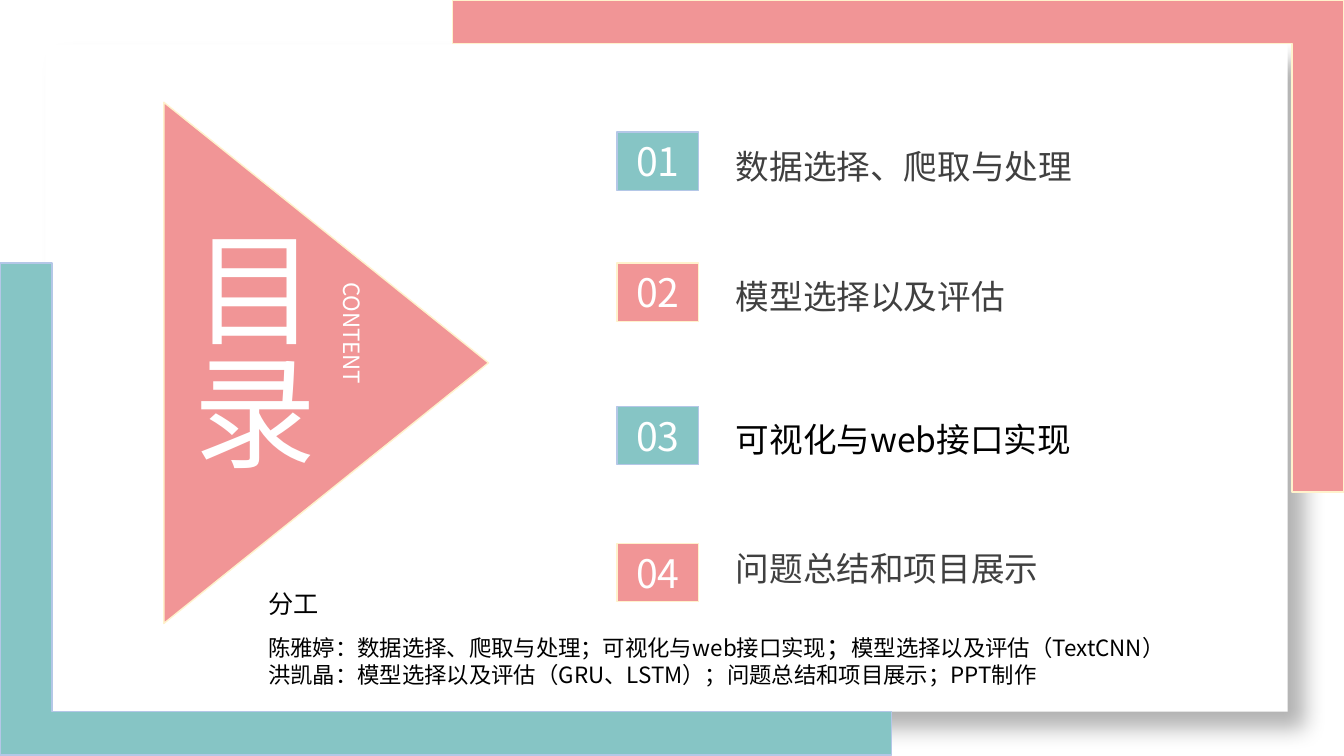
from lxml import etree
from pptx import Presentation
from pptx.dml.color import RGBColor
from pptx.enum import shapes, text
from pptx.oxml.ns import qn
from pptx.util import Inches, Pt

FONT = "Noto Sans CJK SC"
WHITE = RGBColor(0xFF, 0xFF, 0xFF)
BLACK = RGBColor(0, 0, 0)
GREY = RGBColor(0x40, 0x40, 0x40)
TEAL = RGBColor(0x86, 0xC5, 0xC5)
PINK = RGBColor(0xF1, 0x95, 0x96)
BLUE_EDGE = RGBColor(0xB4, 0xC7, 0xE7)
CREAM_EDGE = RGBColor(0xFF, 0xF2, 0xCC)
EDGES = {TEAL: BLUE_EDGE, PINK: CREAM_EDGE}

SHAPE = shapes.MSO_SHAPE
ALIGN = text.PP_ALIGN
AGENDA = [
    (1.31, 1.40, 3.71, "数据选择、爬取与处理", GREY, ALIGN.LEFT),
    (2.61, 2.69, 3.27, "模型选择以及评估", GREY, ALIGN.LEFT),
    (4.03, 4.11, 3.58, "可视化与web接口实现", BLACK, ALIGN.JUSTIFY),
    (5.39, 5.39, 3.71, "问题总结和项目展示", GREY, ALIGN.LEFT),
]
DUTIES = [
    [("陈雅婷：数据选择、爬取与处理；可视化与web接口实现", 16), ("；", 18),
     ("模型选择以及评估（TextCNN）", 16)],
    [("洪凯晶：模型选择以及评估（GRU、LSTM）；问题总结和项目展示；PPT制作", 16)],
]


def add_run(p, words, size, color):
    r = p.add_run()
    r.text = words
    r.font.size = Pt(size)
    r.font.name = FONT
    r.font.color.rgb = color
    etree.SubElement(r.font._element, qn("a:ea"), typeface=FONT)


def write(tf, words, size=24, color=BLACK, align=ALIGN.LEFT,
          anchor=text.MSO_ANCHOR.TOP, spacing=1.0, vertical=False):
    tf.word_wrap = True
    tf.auto_size = text.MSO_AUTO_SIZE.NONE
    tf.vertical_anchor = anchor
    if vertical:
        tf._txBody.bodyPr.set("vert", "eaVert")
    p = tf.paragraphs[0]
    p.alignment = align
    p.line_spacing = spacing
    add_run(p, words, size, color)


def add_text(s, box, words, **fmt):
    sp = s.shapes.add_textbox(*map(Inches, box))
    write(sp.text_frame, words, **fmt)


def place(s, sp, box):
    sp.left, sp.top, sp.width, sp.height = map(Inches, box)
    s.shapes._spTree.append(sp._element)


def add_block(s, kind, box, fill, rotation=0, adjustments=()):
    sp = s.shapes.add_shape(kind, *map(Inches, box))
    sp.shadow.inherit = False
    sp.fill.solid()
    sp.fill.fore_color.rgb = fill
    if fill in EDGES:
        sp.line.color.rgb = EDGES[fill]
        sp.line.width = Pt(1)
    else:
        sp.line.fill.background()
    sp.rotation = rotation
    for i, value in enumerate(adjustments):
        sp.adjustments[i] = value
    return sp


def add_card(s):
    sp = add_block(s, SHAPE.RECTANGLE, (0.45, 0.44, 12.32, 6.62), WHITE)
    effects = sp._element.spPr.find(qn("a:effectLst"))
    shadow = etree.SubElement(effects, qn("a:outerShdw"), blurRad=str(Pt(15)),
                              dist=str(Pt(18)), dir="2700000", algn="tl", rotWithShape="0")
    clr = etree.SubElement(shadow, qn("a:srgbClr"), val="000000")
    etree.SubElement(clr, qn("a:alpha"), val="30000")


def add_agenda(s):
    for i, (top, text_top, width, words, color, align) in enumerate(AGENDA):
        sp = add_block(s, SHAPE.RECTANGLE, (6.12, top, 0.81, 0.58), (TEAL, PINK)[i % 2])
        write(sp.text_frame, f"{i + 1:02}", size=28, color=WHITE,
              align=ALIGN.CENTER, anchor=text.MSO_ANCHOR.MIDDLE)
        add_text(s, (7.2, text_top, width, 0.5), words, color=color, align=align)


def add_duties(s, body):
    place(s, body, (2.56, 6.21, 10.14, 0.76))
    tf = body.text_frame
    tf.word_wrap = True
    tf.auto_size = text.MSO_AUTO_SIZE.NONE
    for i, runs in enumerate(DUTIES):
        p = tf.add_paragraph() if i else tf.paragraphs[0]
        pPr = p._p.get_or_add_pPr()
        pPr.set("marL", "0")
        pPr.set("indent", "0")
        etree.SubElement(pPr, qn("a:buNone"))
        p.space_before = Pt(0)
        for words, size in runs:
            add_run(p, words, size, BLACK)


def main():
    prs = Presentation()
    prs.slide_width, prs.slide_height = Inches(13.33), Inches(7.5)
    s = prs.slides.add_slide(prs.slide_layouts[1])
    title, body = s.placeholders[0], s.placeholders[1]

    add_card(s)
    for box, fill, rotation in (((0, 2.61, 8.84, 4.88), TEAL, 0),
                                ((4.49, 0, 8.84, 4.88), PINK, 180)):
        add_block(s, SHAPE.CORNER, box, fill, rotation, (0.088, 0.106))
    add_block(s, SHAPE.FLOWCHART_EXTRACT, (0.65, 1.99, 5.17, 3.22), PINK, 90)

    place(s, title, (1.63, 2.2, 2.42, 2.81))
    vertical = dict(color=WHITE, align=ALIGN.JUSTIFY, spacing=1.5, vertical=True)
    write(title.text_frame, "目录", size=88, **vertical)
    add_text(s, (3.2, 2.7, 0.61, 1.83), "CONTENT", size=16, **vertical)

    add_agenda(s)
    add_duties(s, body)
    add_text(s, (2.56, 5.79, 2.58, 0.4), "分工", size=18)
    prs.save("out.pptx")


if __name__ == "__main__":
    main()
